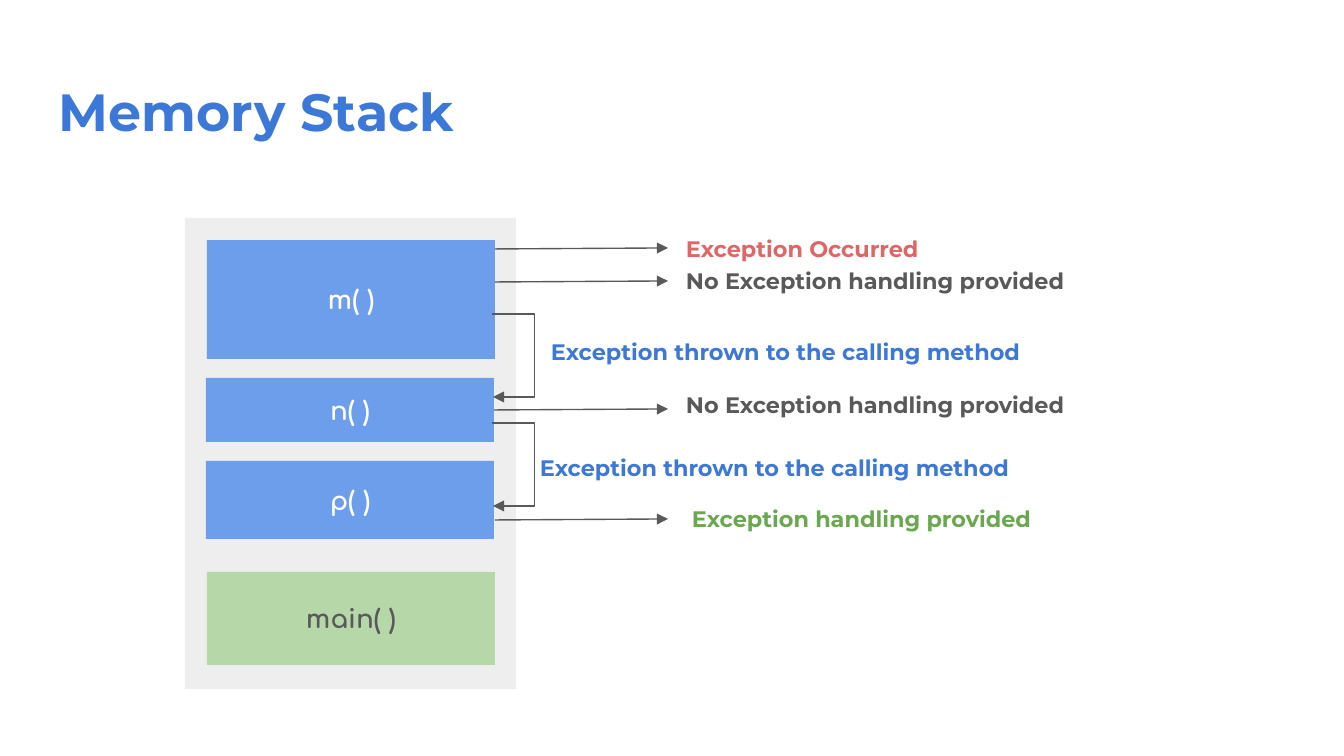
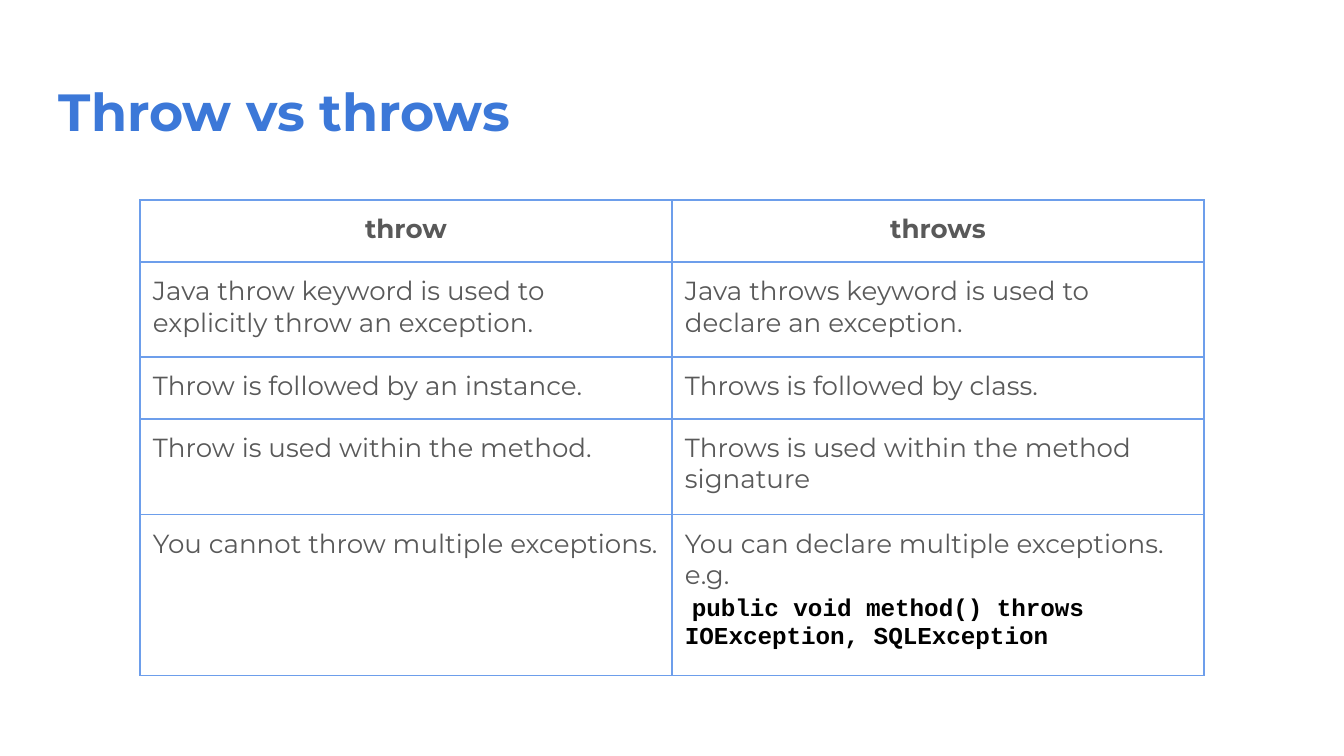
from lxml import etree
from pptx import Presentation
from pptx.dml.color import RGBColor
from pptx.enum.shapes import MSO_CONNECTOR, MSO_SHAPE
from pptx.enum.text import MSO_ANCHOR, MSO_AUTO_SIZE, PP_ALIGN
from pptx.oxml.ns import qn
from pptx.util import Emu, Pt

STRAIGHT, ELBOW = MSO_CONNECTOR.STRAIGHT, MSO_CONNECTOR.ELBOW
RECTANGLE = MSO_SHAPE.RECTANGLE
TOP, MIDDLE = MSO_ANCHOR.TOP, MSO_ANCHOR.MIDDLE
LEFT, CENTER = PP_ALIGN.LEFT, PP_ALIGN.CENTER
FIXED, GROW = MSO_AUTO_SIZE.NONE, MSO_AUTO_SIZE.SHAPE_TO_FIT_TEXT

BLUE = RGBColor(0x3C, 0x78, 0xD8)
LIGHT_BLUE = RGBColor(0x6D, 0x9E, 0xEB)
LIGHT_GREEN = RGBColor(0xB6, 0xD7, 0xA8)
GREEN = RGBColor(0x6A, 0xA8, 0x4F)
RED = RGBColor(0xE0, 0x66, 0x66)
GRAY = RGBColor(0x59, 0x59, 0x59)
PALE_GRAY = RGBColor(0xEE, 0xEE, 0xEE)
WHITE = RGBColor(0xFF, 0xFF, 0xFF)
BLACK = RGBColor(0, 0, 0)

TEXT_FONT, BLOCK_FONT, CODE_FONT = "Montserrat", "Comfortaa", "Courier New"
LINE_WIDTH = Pt(0.75)
SLIDE_SIZE = (1344, 756)
TITLE_BOX = (46, 66, 1252, 84)

STACK_PANEL = (185, 218, 331, 471)
BLOCK_WIDTH = 288
METHOD_BLOCKS = [  # text, left, top, height, fill, text colour
    ("m( )", 207, 240, 119, LIGHT_BLUE, WHITE),
    ("n( )", 206, 378, 64, LIGHT_BLUE, WHITE),
    ("p( )", 206, 461, 78, LIGHT_BLUE, WHITE),
    ("main( )", 207, 572, 93, LIGHT_GREEN, GRAY),
]
NOTE_SIZE = (665, 54)
NOTES = [  # text, left, top, colour
    ("Exception Occurred", 673, 222, RED),
    ("No Exception handling provided", 673, 254, GRAY),
    ("Exception thrown to the calling method", 538, 325, BLUE),
    ("No Exception handling provided", 673, 378, GRAY),
    ("Exception thrown to the calling method", 527, 441, BLUE),
    ("Exception handling provided", 679, 492, GREEN),
]
ARROW_START, ARROW_END = 495, 668
NOTE_ARROWS = [(249, None), (282, None), (410, "n( )"), (520, None)]  # y, joined block
THROW_LEFT, THROW_REACH, THROW_HEIGHT = 492, 42, 83
THROW_TOPS = [314, 423]

TABLE_LEFT, TABLE_TOP = 140, 200
COLUMN_WIDTH = 532
ROW_HEIGHTS = [62, 95, 62, 96, 161]
CODE = "public void method() throws IOException, SQLException"
COMPARISON = [
    ("throw", "throws"),
    ("Java throw keyword is used to explicitly throw an exception.",
     "Java throws keyword is used to declare an exception."),
    ("Throw is followed by an instance.", "Throws is followed by class."),
    ("Throw is used within the method.",
     "Throws is used within the method signature"),
    ("You cannot throw multiple exceptions.",
     "You can declare multiple exceptions.\ne.g.\n "),
]


def px(value):
    return Emu(round(value * 914400 / 134.4))


def px_all(values):
    return [px(value) for value in values]


def style_font(font, name, size, color, bold=True):
    font.name, font.size, font.bold = name, Pt(size), bold
    font.color.rgb = color


def set_margins(holder):
    """Gives a text frame or a table cell the shared inner margin."""
    holder.margin_left = holder.margin_right = px(13)
    holder.margin_top = holder.margin_bottom = px(13)


def write(shape, text, font_name, size, color, align=LEFT, anchor=TOP, fit=FIXED):
    frame = shape.text_frame
    frame.text = text
    frame.word_wrap, frame.auto_size, frame.vertical_anchor = True, fit, anchor
    set_margins(frame)
    paragraph = frame.paragraphs[0]
    paragraph.alignment = align
    style_font(paragraph.font, font_name, size, color)


def add_titled_slide(presentation, text):
    slide = presentation.slides.add_slide(presentation.slide_layouts[5])
    title = slide.shapes.title
    title.left, title.top, title.width, title.height = px_all(TITLE_BOX)
    write(title, text, TEXT_FONT, 28, BLUE)
    return slide


def add_rectangle(slide, box, fill):
    shape = slide.shapes.add_shape(RECTANGLE, *px_all(box))
    shape.shadow.inherit = False
    shape.fill.solid()
    shape.fill.fore_color.rgb = fill
    shape.line.fill.background()
    return shape


def add_arrow(slide, kind, start, end):
    arrow = slide.shapes.add_connector(kind, *px_all(start + end))
    arrow.line.color.rgb = GRAY
    arrow.line.width = LINE_WIDTH
    etree.SubElement(arrow.line._get_or_add_ln(), qn("a:tailEnd"), type="triangle")
    etree.SubElement(arrow._element.spPr, qn("a:effectLst"))
    return arrow


def add_throw_arrow(slide, top):
    """Draws a bent arrow that leaves to the right and comes back below."""
    arrow = add_arrow(slide, ELBOW, (THROW_LEFT, top),
                      (THROW_LEFT + 1, top + THROW_HEIGHT))
    guides = arrow._element.spPr.find(qn("a:prstGeom")).get_or_add_avLst()
    etree.SubElement(guides, qn("a:gd"), name="adj1",
                     fmla=f"val {THROW_REACH * 100000}")


def set_borders(cell):
    properties = cell._tc.get_or_add_tcPr()
    for side in ("a:lnL", "a:lnR", "a:lnT", "a:lnB"):
        line = etree.SubElement(properties, qn(side), w=str(LINE_WIDTH))
        fill = etree.SubElement(line, qn("a:solidFill"))
        etree.SubElement(fill, qn("a:srgbClr"), val=str(LIGHT_BLUE))


def build_memory_stack(presentation):
    slide = add_titled_slide(presentation, "Memory Stack")
    add_rectangle(slide, STACK_PANEL, PALE_GRAY)
    blocks = {}
    for text, left, top, height, fill, color in METHOD_BLOCKS:
        block = add_rectangle(slide, (left, top, BLOCK_WIDTH, height), fill)
        write(block, text, BLOCK_FONT, 14, color, CENTER, MIDDLE)
        blocks[text] = block
    for text, left, top, color in NOTES:
        note = slide.shapes.add_textbox(*px_all((left, top) + NOTE_SIZE))
        write(note, text, TEXT_FONT, 12, color, fit=GROW)
    for y, block_name in NOTE_ARROWS:
        arrow = add_arrow(slide, STRAIGHT, (ARROW_START, y), (ARROW_END, y - 1))
        if block_name:
            arrow.begin_connect(blocks[block_name], 3)
    for top in THROW_TOPS:
        add_throw_arrow(slide, top)


def build_comparison(presentation):
    slide = add_titled_slide(presentation, "Throw vs throws")
    columns = len(COMPARISON[0])
    box = (TABLE_LEFT, TABLE_TOP, columns * COLUMN_WIDTH, sum(ROW_HEIGHTS))
    table = slide.shapes.add_table(len(COMPARISON), columns, *px_all(box)).table
    table.first_row = table.horz_banding = False
    for column in table.columns:
        column.width = px(COLUMN_WIDTH)
    for row_index, texts in enumerate(COMPARISON):
        table.rows[row_index].height = px(ROW_HEIGHTS[row_index])
        is_header = row_index == 0
        for column_index, text in enumerate(texts):
            cell = table.cell(row_index, column_index)
            cell.text = text
            set_margins(cell)
            set_borders(cell)
            cell.fill.background()
            for paragraph in cell.text_frame.paragraphs:
                paragraph.alignment = CENTER if is_header else LEFT
                style_font(paragraph.font, TEXT_FONT, 14, GRAY, is_header)
    code_run = table.cell(len(COMPARISON) - 1, 1).text_frame.paragraphs[-1].add_run()
    code_run.text = CODE
    style_font(code_run.font, CODE_FONT, 13, BLACK)


def main():
    presentation = Presentation()
    presentation.slide_width, presentation.slide_height = px_all(SLIDE_SIZE)
    build_memory_stack(presentation)
    build_comparison(presentation)
    presentation.save("out.pptx")


if __name__ == "__main__":
    main()
